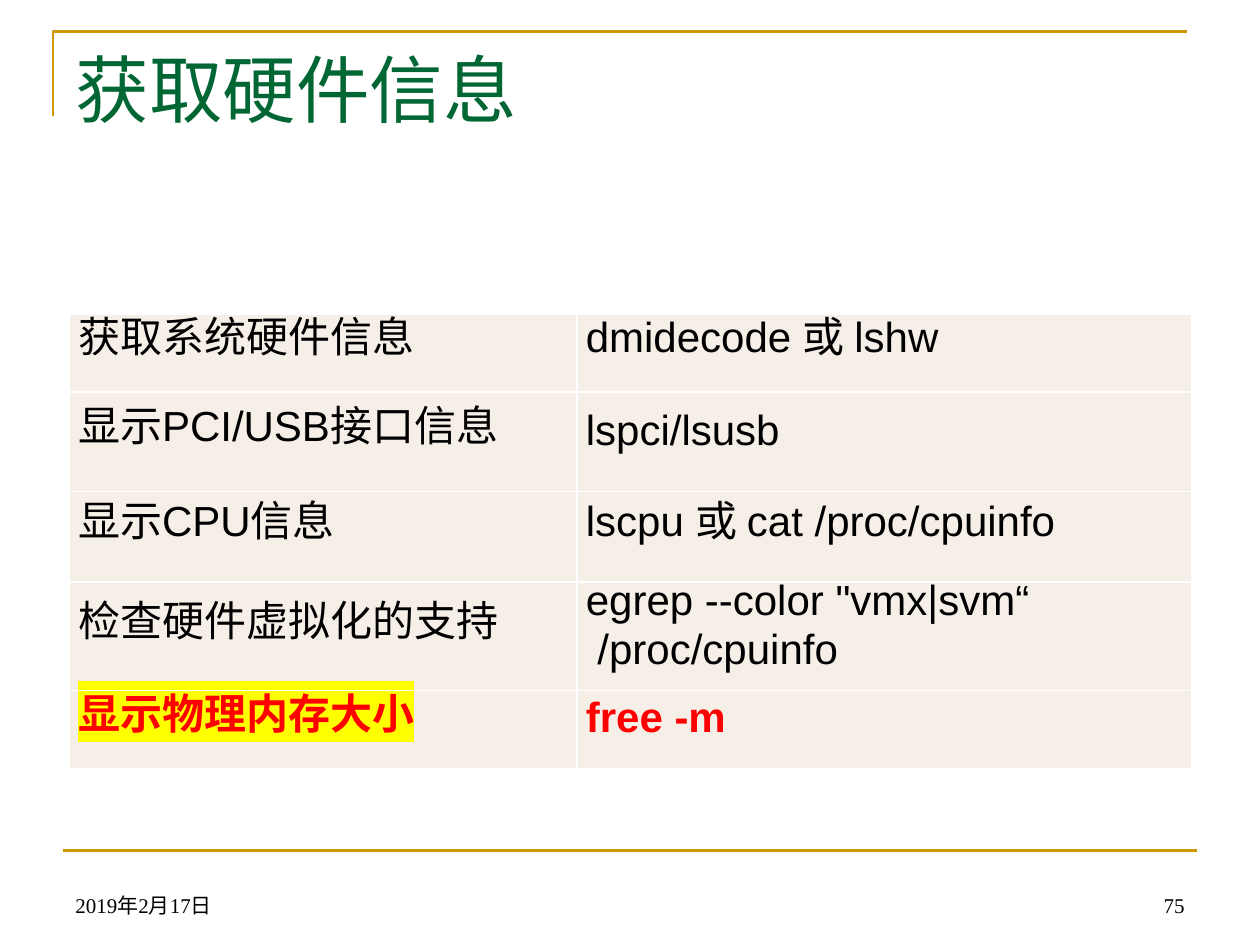
import lxml.etree
import pptx
import pptx.dml.color
import pptx.enum.shapes
import pptx.enum.text
import pptx.oxml
import pptx.oxml.ns
import pptx.util
from pptx.util import Inches

GOLD = pptx.dml.color.RGBColor(0xCC, 0x99, 0x00)
GREEN = pptx.dml.color.RGBColor(0x00, 0x66, 0x33)
CREAM = pptx.dml.color.RGBColor(0xF6, 0xEF, 0xE7)
BLACK = pptx.dml.color.RGBColor(0, 0, 0)
RED = pptx.dml.color.RGBColor(0xFF, 0, 0)
WHITE = pptx.dml.color.RGBColor(0xFF, 0xFF, 0xFF)
YELLOW = pptx.dml.color.RGBColor(0xFF, 0xFF, 0)

COLUMN_WIDTHS = (4.03, 4.88)
ROW_HEIGHTS = (0.62, 0.79, 0.72, 0.86, 0.62)
COMMANDS = (
    ("获取系统硬件信息", "dmidecode 或 lshw"),
    ("显示PCI/USB接口信息", "lspci/lsusb"),
    ("显示CPU信息", "lscpu 或 cat /proc/cpuinfo"),
    ("检查硬件虚拟化的支持", 'egrep --color "vmx|svm“\n /proc/cpuinfo'),
    ("显示物理内存大小", "free -m"),
)


def set_font(paragraph, name, size, color, bold=False):
    font = paragraph.font
    font.name = name
    font.size = pptx.util.Pt(size)
    font.bold = bold
    font.color.rgb = color


def style_line(shape):
    shape.line.color.rgb = GOLD
    shape.line.width = pptx.util.Pt(1.5)
    lxml.etree.SubElement(
        shape._element.spPr, pptx.oxml.ns.qn("a:effectLst"))


def add_frame(slide, left, top, width, height):
    builder = slide.shapes.build_freeform(
        Inches(left), Inches(top + height))
    builder.add_line_segments(
        [(Inches(left), Inches(top)), (Inches(left + width), Inches(top))],
        close=False)
    corner = builder.convert_to_shape()
    corner.fill.background()
    style_line(corner)


def add_title(slide, left, top, width, height):
    title = slide.shapes.title
    title.left, title.top = Inches(left), Inches(top)
    title.width, title.height = Inches(width), Inches(height)
    title.text_frame.vertical_anchor = pptx.enum.text.MSO_ANCHOR.TOP
    paragraph = title.text_frame.paragraphs[0]
    paragraph.text = "获取硬件信息"
    paragraph.alignment = pptx.enum.text.PP_ALIGN.LEFT
    set_font(paragraph, "Times New Roman", 42, GREEN)


def add_borders(cell):
    properties = cell._tc.get_or_add_tcPr()
    for index, side in enumerate(("lnL", "lnR", "lnT", "lnB")):
        border = pptx.oxml.parse_xml(
            f'<a:{side} {pptx.oxml.ns.nsdecls("a")} w="12700"><a:solidFill>'
            f'<a:srgbClr val="{WHITE}"/></a:solidFill></a:{side}>')
        properties.insert(index, border)


def highlight(run):
    mark = pptx.oxml.parse_xml(
        f'<a:highlight {pptx.oxml.ns.nsdecls("a")}>'
        f'<a:srgbClr val="{YELLOW}"/></a:highlight>')
    run._r.get_or_add_rPr().append(mark)


def fill_cell(cell, text, important):
    cell.fill.solid()
    cell.fill.fore_color.rgb = CREAM
    add_borders(cell)
    cell.vertical_anchor = pptx.enum.text.MSO_ANCHOR.MIDDLE
    cell.margin_left = cell.margin_right = Inches(0.07)
    cell.margin_top = cell.margin_bottom = 0
    cell.text = text
    for index, paragraph in enumerate(cell.text_frame.paragraphs):
        paragraph.alignment = pptx.enum.text.PP_ALIGN.JUSTIFY
        paragraph.line_spacing = pptx.util.Pt(14)
        paragraph.space_before = pptx.util.Pt(14 if index else 0)
        set_font(paragraph, "Arial", 24, RED if important else BLACK, important)


def add_command_table(slide, left, top):
    table = slide.shapes.add_table(
        len(ROW_HEIGHTS), len(COLUMN_WIDTHS), Inches(left), Inches(top),
        Inches(sum(COLUMN_WIDTHS)), Inches(sum(ROW_HEIGHTS))).table
    table.first_row = False
    table.horz_banding = False
    for column, width in zip(table.columns, COLUMN_WIDTHS):
        column.width = Inches(width)
    for row, height, texts in zip(table.rows, ROW_HEIGHTS, COMMANDS):
        row.height = Inches(height)
        for cell, text in zip(row.cells, texts):
            fill_cell(cell, text, texts is COMMANDS[-1])
    last_label = table.cell(len(COMMANDS) - 1, 0)
    highlight(last_label.text_frame.paragraphs[0].runs[0])


def add_footer(slide, left, top, width, height):
    rule = slide.shapes.add_connector(
        pptx.enum.shapes.MSO_CONNECTOR.STRAIGHT,
        Inches(left), Inches(top), Inches(left + width), Inches(top))
    style_line(rule)
    box_width, box_height = 2.33, 0.5
    align = pptx.enum.text.PP_ALIGN
    for text, box_left, alignment in (
            ("2019年2月17日", left, align.LEFT),
            ("75", left + width - box_width, align.RIGHT)):
        box = slide.shapes.add_textbox(
            Inches(box_left), Inches(top + height - box_height),
            Inches(box_width), Inches(box_height))
        box.text_frame.word_wrap = True
        box.text_frame.vertical_anchor = pptx.enum.text.MSO_ANCHOR.BOTTOM
        paragraph = box.text_frame.paragraphs[0]
        paragraph.text = text
        paragraph.alignment = alignment
        set_font(paragraph, "Times New Roman", 12, BLACK)


def main():
    presentation = pptx.Presentation()
    presentation.slide_width = Inches(10)
    presentation.slide_height = Inches(7.5)
    slide = presentation.slides.add_slide(presentation.slide_layouts[5])
    add_frame(slide, 0.42, 0.25, 9, 0.67)
    add_title(slide, 0.5, 0.3, 9, 1.25)
    add_command_table(slide, 0.55, 2.49)
    add_footer(slide, 0.5, 6.75, 9, 0.58)
    presentation.save("out.pptx")


if __name__ == "__main__":
    main()
